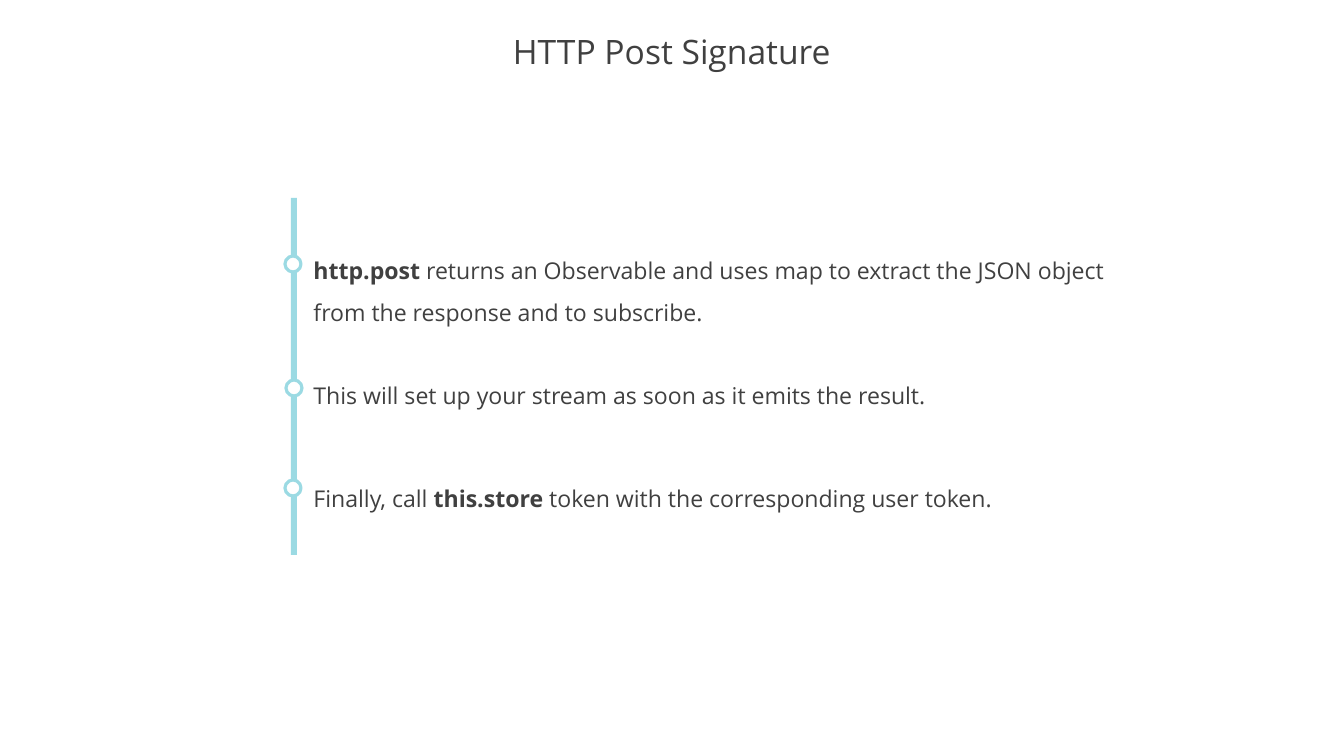
"""Build the HTTP Post Signature slide: a vertical rail with three explained steps."""
from pptx import Presentation
from pptx.dml.color import RGBColor
from pptx.enum.shapes import MSO_SHAPE as Shape
from pptx.enum.text import MSO_ANCHOR as Anchor, PP_ALIGN as Align
from pptx.util import Emu, Pt

SCALE = 12095
WIDTH, HEIGHT = 1344, 756
INK = RGBColor(0x40, 0x40, 0x40)
AQUA = RGBColor(0x9B, 0xDA, 0xE3)
WHITE = RGBColor(0xFF, 0xFF, 0xFF)
DOT_SIZE = 16
STEP_LEFT = 306

STEPS = [
    (285, 256, 239, 821, 87, [
        ("http.post ", True),
        ("returns an Observable and uses map to extract the JSON object "
         "from the response and to subscribe.", False),
    ]),
    (286, 380, 364, 806, 46, [
        ("This will set up your stream as soon as it emits the result.", False),
    ]),
    (285, 480, 467, 821, 45, [
        ("Finally, call ", False),
        ("this.store ", True),
        ("token with the corresponding user token.", False),
    ]),
]


def px(*lengths):
    return [Emu(length * SCALE) for length in lengths]


class SlideBuilder:
    font_name = "Open Sans"

    def __init__(self, slide):
        self.slide = slide

    def shape(self, kind, left, top, width, height, fill, line=None):
        shape = self.slide.shapes.add_shape(kind, *px(left, top, width, height))
        shape.shadow.inherit = False
        shape.fill.solid()
        shape.fill.fore_color.rgb = fill
        if line is None:
            shape.line.fill.background()
        else:
            shape.line.color.rgb = line
            shape.line.width = Pt(3)

    def text(self, left, top, width, height, spans, size, spacing,
             align=Align.LEFT, anchor=Anchor.TOP):
        box = self.slide.shapes.add_textbox(*px(left, top, width, height))
        frame = box.text_frame
        frame.word_wrap = True
        frame.vertical_anchor = anchor
        para = frame.paragraphs[0]
        para.alignment = align
        para.line_spacing = spacing
        for words, bold in spans:
            span = para.add_run()
            span.text = words
            span.font.name = self.font_name
            span.font.size = Pt(size)
            span.font.bold = bold
            span.font.color.rgb = INK

    def title(self, words):
        self.text(0, 26, WIDTH, 55, [(words, False)], 32, 0.9,
                  Align.CENTER, Anchor.MIDDLE)

    def rail(self):
        self.shape(Shape.RECTANGLE, 291, 198, 6, 357, AQUA)

    def step(self, dot_left, dot_top, top, width, height, spans):
        self.shape(Shape.OVAL, dot_left, dot_top, DOT_SIZE, DOT_SIZE, WHITE, AQUA)
        self.text(STEP_LEFT, top, width, height, spans, 22, 1.5)


def main():
    deck = Presentation()
    deck.slide_width, deck.slide_height = px(WIDTH, HEIGHT)
    builder = SlideBuilder(deck.slides.add_slide(deck.slide_layouts[6]))
    builder.title("HTTP Post Signature")
    builder.rail()
    for step in STEPS:
        builder.step(*step)
    deck.save("out.pptx")


if __name__ == "__main__":
    main()
